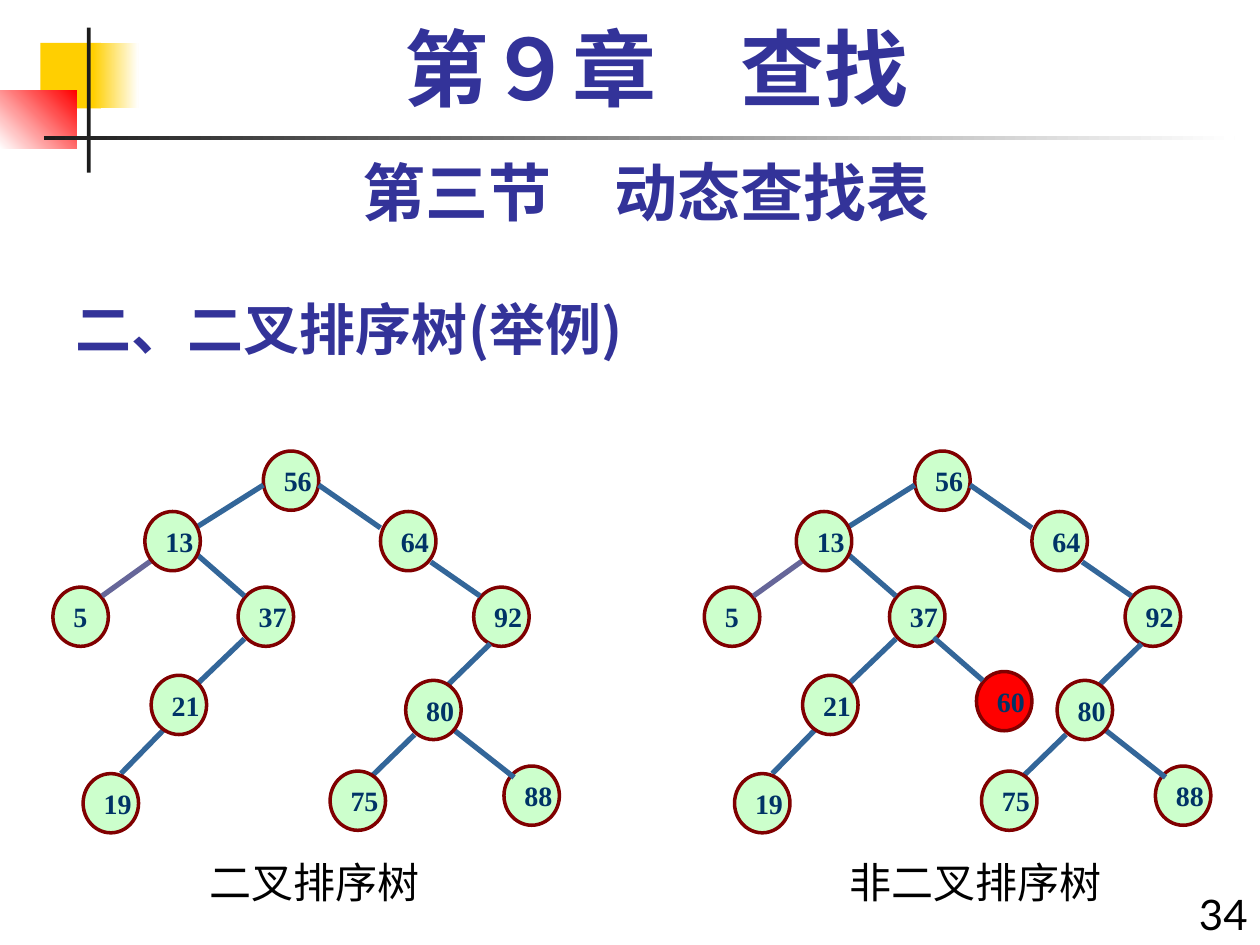
import pptx
import pptx.dml.color
import pptx.enum.shapes
import pptx.enum.text
import pptx.util
from lxml import etree
from pptx.oxml.ns import qn

Inches = pptx.util.Inches
Shape = pptx.enum.shapes.MSO_SHAPE
Align = pptx.enum.text.PP_ALIGN
Anchor = pptx.enum.text.MSO_ANCHOR

# Content
HEADING = ("二、二叉排序树(举例)", (0.5, 2.17, 6.25, 0.75))
# text, box, size, font, colour, bold, alignment, line spacing
TEXTS = [
    ("34", (9.33, 7, 0.67, 0.5), 24, "Lato", "000000", False, Align.RIGHT, 1),
    ("第三节\u3000动态查找表", (0.5, 1.17, 9.25, 0.7), 36, "Lato", "333399", True, Align.CENTER, 1),
    ("第９章\u3000查找", (0.67, 0.17, 9.08, 0.83), 48, "Times New Roman", "333399", True, Align.CENTER, 0.9),
    ("二叉排序树", (1.33, 6.75, 2.33, 0.5), 24, "Lato", "000000", False, Align.CENTER, 1),
    ("非二叉排序树", (6.58, 6.75, 2.33, 0.5), 24, "Lato", "000000", False, Align.CENTER, 1),
]
# box, fill colours (two make a gradient), gradient angle
DECORATION = [
    ((0.32, 0.34, 0.48, 0.52), ["FFCF01"], 0),
    ((0.74, 0.34, 0.36, 0.52), ["FFCF01", "FFFFFF"], 0),
    ((0, 0.72, 0.61, 0.46), ["FFFFFF", "FF0000"], 45),
    ((0.69, 0.22, 0.03, 1.15), ["1C1C1C"], 0),
    ((0.35, 1.08, 9.45, 0.03), ["1C1C1C", "FFFFFF"], 0),
]
# Nodes behind and in front of the branches: key -> left, top
BACK_NODES = {56: (2.09, 3.58), 64: (3.02, 4.06), 5: (0.42, 4.66),
              92: (3.76, 4.66), 37: (1.89, 4.66), 88: (4, 6.08)}
FRONT_NODES = {19: (0.66, 6.14), 80: (3.22, 5.4), 21: (1.2, 5.36),
               13: (1.15, 4.06), 75: (2.62, 6.12)}
# parent, child -> start x, y, end x, y
BRANCHES = {
    (56, 13): (2.09, 3.85, 1.55, 4.19),
    (13, 5): (1.2, 4.45, 0.81, 4.73),
    (56, 64): (2.53, 3.85, 3.02, 4.19),
    (13, 37): (1.55, 4.39, 1.94, 4.73),
    (37, 21): (1.94, 5.07, 1.46, 5.53),
    (64, 92): (3.42, 4.46, 3.81, 4.73),
    (92, 80): (3.89, 5.11, 3.52, 5.47),
    (80, 88): (3.61, 5.8, 4.08, 6.17),
    (21, 19): (1.35, 5.74, 0.96, 6.14),
    (80, 75): (3.29, 5.83, 2.92, 6.19),
}
MISPLACED_NODE = (60, (2.58, 5.33))
MISPLACED_BRANCH = (2.24, 5.06, 2.63, 5.4)
NODE_SIZE = (0.44, 0.47)
SECOND_TREE_OFFSET = 5.17


def color(value):
    return pptx.dml.color.RGBColor.from_string(value)


def inches(values):
    return [Inches(value) for value in values]


def format_text(paragraph, size, font, value, bold):
    for run in paragraph.runs:
        run.font.size = pptx.util.Pt(size)
        run.font.name = font
        run.font.bold = bold
        run.font.color.rgb = color(value)
        east_asian = etree.Element(qn("a:ea"), typeface="Noto Sans CJK SC")
        run.font._element.find(qn("a:latin")).addnext(east_asian)


def add_decoration(slide, box, colors, angle):
    shape = slide.shapes.add_shape(Shape.RECTANGLE, *inches(box))
    shape.shadow.inherit = False
    shape.line.fill.background()
    if len(colors) == 1:
        shape.fill.solid()
        shape.fill.fore_color.rgb = color(colors[0])
        return
    shape.fill.gradient()
    shape.fill.gradient_angle = angle
    for stop, value in zip(shape.fill.gradient_stops, colors):
        stop.color.rgb = color(value)


def add_text(slide, text, box, size, font, value, bold, alignment, spacing):
    frame = slide.shapes.add_textbox(*inches(box)).text_frame
    frame.word_wrap = True
    frame.text = text
    paragraph = frame.paragraphs[0]
    paragraph.alignment = alignment
    paragraph.line_spacing = spacing
    format_text(paragraph, size, font, value, bold)


def add_node(group, key, position, offset, fill="CCFFCC"):
    left, top = position
    node = group.shapes.add_shape(Shape.OVAL, *inches((left + offset, top, *NODE_SIZE)))
    node.shadow.inherit = False
    node.fill.solid()
    node.fill.fore_color.rgb = color(fill)
    node.line.color.rgb = color("800000")
    node.line.width = pptx.util.Pt(2)
    frame = node.text_frame
    frame.word_wrap = False
    frame.vertical_anchor = Anchor.MIDDLE
    frame.text = str(key)
    frame.paragraphs[0].alignment = Align.LEFT
    format_text(frame.paragraphs[0], 16, "Times New Roman", "003366", True)


def add_branch(group, ends, offset, value="336699"):
    x1, y1, x2, y2 = ends
    branch = group.shapes.add_connector(
        pptx.enum.shapes.MSO_CONNECTOR.STRAIGHT,
        *inches((x1 + offset, y1, x2 + offset, y2)))
    branch.line.color.rgb = color(value)
    branch.line.width = pptx.util.Pt(3)
    etree.SubElement(branch._element.spPr, qn("a:effectLst"))


def add_tree(slide, offset):
    group = slide.shapes.add_group_shape()
    for key, position in BACK_NODES.items():
        add_node(group, key, position, offset)
    for pair, ends in BRANCHES.items():
        add_branch(group, ends, offset, "666699" if pair == (13, 5) else "336699")
    for key, position in FRONT_NODES.items():
        add_node(group, key, position, offset)
    return group


def main():
    presentation = pptx.Presentation()
    presentation.slide_width, presentation.slide_height = inches((10, 7.5))
    slide = presentation.slides.add_slide(presentation.slide_layouts[5])

    # Corner decoration and rule
    for item in DECORATION:
        add_decoration(slide, *item)

    # Heading in the title placeholder
    title = slide.shapes.title
    text, box = HEADING
    title.left, title.top, title.width, title.height = inches(box)
    title.text_frame.text = text
    title.text_frame.vertical_anchor = Anchor.BOTTOM
    title.text_frame.paragraphs[0].alignment = Align.LEFT
    format_text(title.text_frame.paragraphs[0], 32, "Noto Sans CJK SC", "333399", True)

    # Chapter, section, captions and page number
    for item in TEXTS:
        add_text(slide, *item)

    # Valid tree, then the same tree with one misplaced key
    add_tree(slide, 0)
    invalid_tree = add_tree(slide, SECOND_TREE_OFFSET)
    add_node(invalid_tree, *MISPLACED_NODE, SECOND_TREE_OFFSET, "FF0000")
    add_branch(invalid_tree, MISPLACED_BRANCH, SECOND_TREE_OFFSET)

    presentation.save("out.pptx")


if __name__ == "__main__":
    main()
